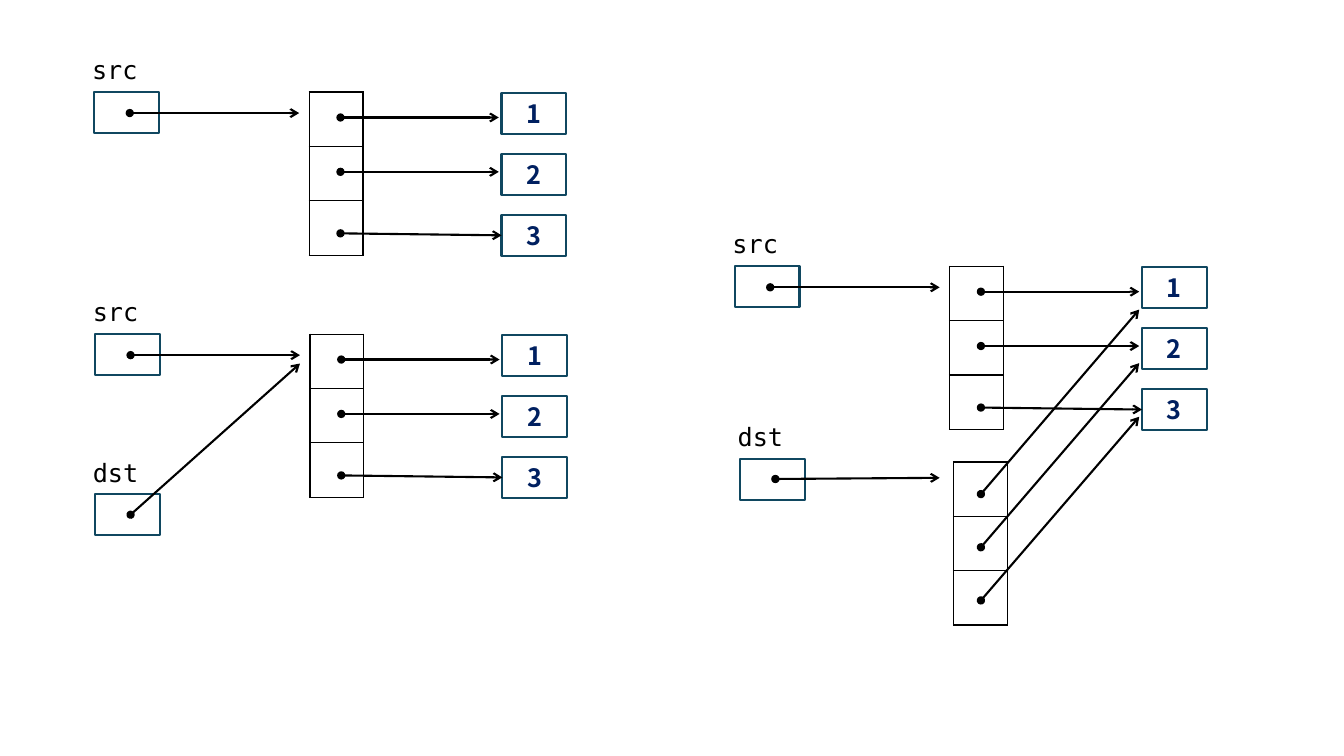
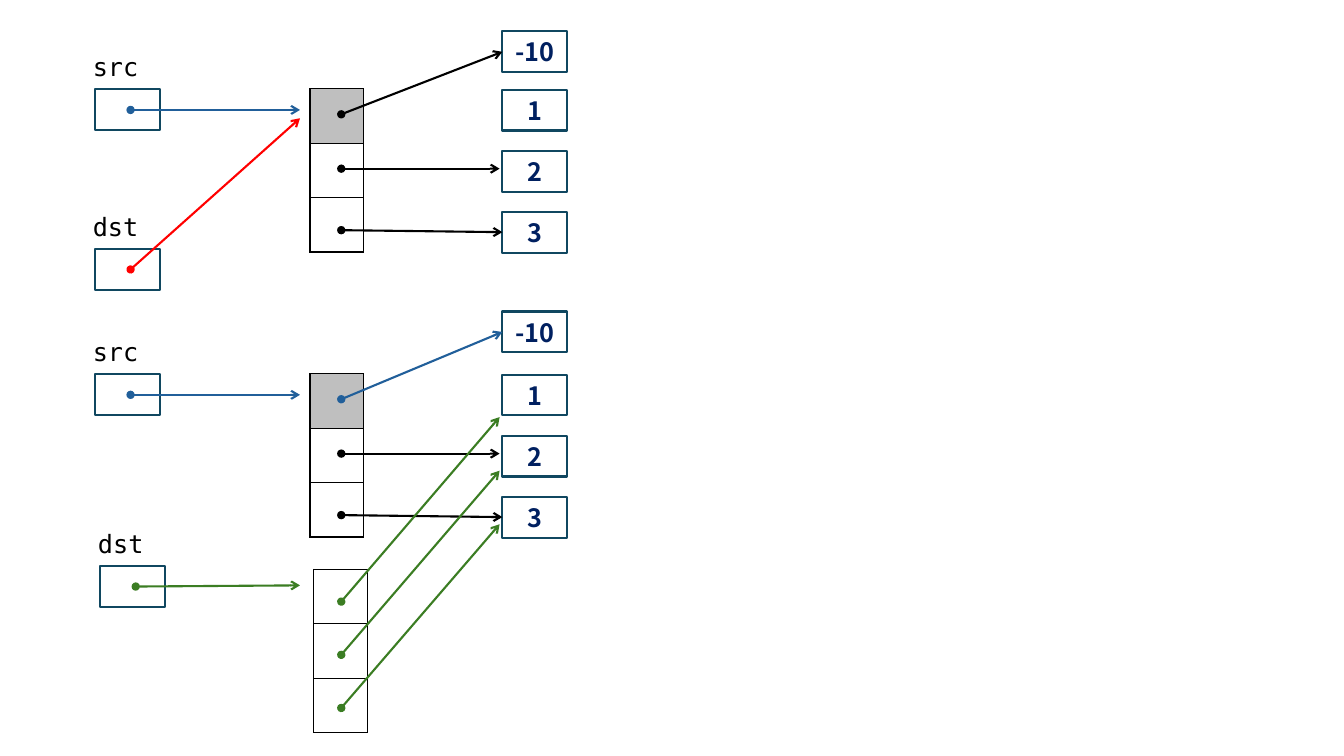
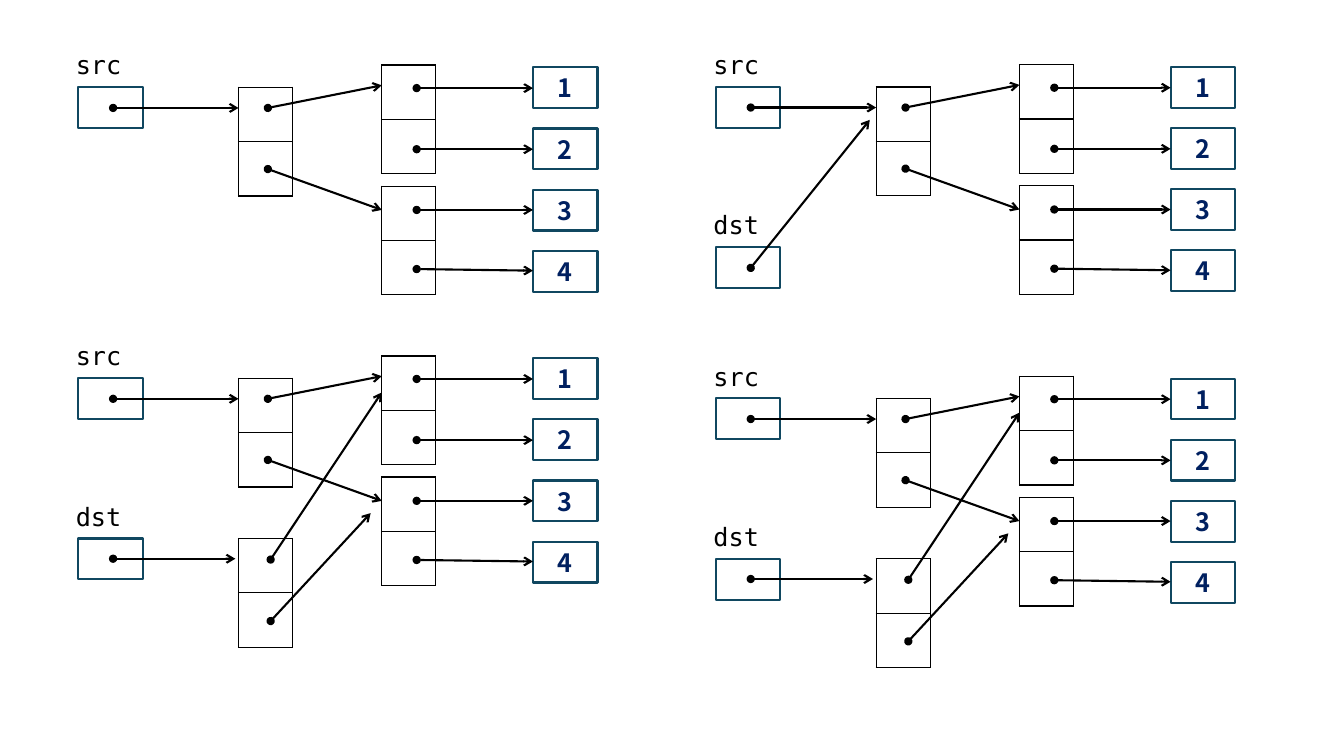
from lxml import etree
from pptx import Presentation
from pptx.dml.color import RGBColor
from pptx.enum.shapes import MSO_CONNECTOR, MSO_SHAPE
from pptx.enum.text import MSO_ANCHOR, MSO_AUTO_SIZE, PP_ALIGN
from pptx.oxml import parse_xml
from pptx.oxml.ns import nsdecls, qn
from pptx.util import Cm, Pt

COLORS = {
    "ink": "000000",
    "frame": "104760",
    "number": "002060",
    "changed": "BFBFBF",
    "blue": "215F9A",
    "red": "FF0000",
    "green": "3B7D23",
}
MONO, SANS = "DejaVu Sans Mono", "Noto Sans CJK KR"
BOX_W, BOX_H, BOX_STEP = 1.63, 1.03, 1.54
CELL_W, CELL_H = 1.36, 1.37


def rgb(name):
    return RGBColor.from_string(COLORS[name])


class MemoryDiagram:
    """Draws boxes, cells and pointers relative to a movable origin on the current slide."""

    def __init__(self):
        self.deck = Presentation()
        self.deck.slide_width, self.deck.slide_height = Cm(33.87), Cm(19.05)

    def new_slide(self):
        self.shapes = self.deck.slides.add_slide(self.deck.slide_layouts[6]).shapes

    def move_to(self, x, y):
        self.x, self.y = x, y

    def place(self, x, y):
        return Cm(self.x + x), Cm(self.y + y)

    def add_text(self, shape, text, font, color, bold=False):
        shape.text_frame.word_wrap = False
        run = shape.text_frame.paragraphs[0].add_run()
        run.text = text
        run.font.name, run.font.size, run.font.bold = font, Pt(18), bold
        run.font.color.rgb = rgb(color)

    def box(self, x, y, value=None):
        box = self.shapes.add_shape(MSO_SHAPE.RECTANGLE, *self.place(x, y), Cm(BOX_W), Cm(BOX_H))
        box.shadow.inherit = False
        box.fill.background()
        box.line.color.rgb, box.line.width = rgb("frame"), Pt(1.5)
        if value is not None:
            self.add_text(box, str(value), SANS, "number", bold=True)
            box.text_frame.vertical_anchor = MSO_ANCHOR.MIDDLE
            box.text_frame.paragraphs[0].alignment = PP_ALIGN.CENTER

    def values(self, x, y, count):
        for i in range(count):
            self.box(x, y + i * BOX_STEP, i + 1)

    def variable(self, name, x=0, y=0):
        label = self.shapes.add_textbox(*self.place(x - 0.31, y - 1.07), Cm(1.65), Cm(1.02))
        self.add_text(label, name, MONO, "ink")
        label.text_frame.auto_size = MSO_AUTO_SIZE.SHAPE_TO_FIT_TEXT
        self.box(x, y)

    def cells(self, x, y, count, changed=False):
        frame = self.shapes.add_table(count, 1, *self.place(x, y), Cm(CELL_W), Cm(CELL_H * count))
        table = frame.table
        table.first_row = table.horz_banding = False
        for i, row in enumerate(table.rows):
            row.height = Cm(CELL_H)
            cell = row.cells[0]
            properties = cell._tc.get_or_add_tcPr()
            for side in "LRTB":
                properties.append(parse_xml(
                    f'<a:ln{side} {nsdecls("a")} w="{Pt(1)}"><a:solidFill>'
                    f'<a:srgbClr val="{COLORS["ink"]}"/></a:solidFill></a:ln{side}>'))
            if changed and i == 0:
                cell.fill.solid()
                cell.fill.fore_color.rgb = rgb("changed")
            else:
                cell.fill.background()

    def pointer(self, start, end, color="ink"):
        line = self.shapes.add_connector(
            MSO_CONNECTOR.STRAIGHT, *self.place(*start), *self.place(*end))
        line.line.color.rgb, line.line.width = rgb(color), Pt(1.5)
        outline = line.line._get_or_add_ln()
        etree.SubElement(outline, qn("a:headEnd"), type="oval")
        etree.SubElement(outline, qn("a:tailEnd"), type="arrow")
        etree.SubElement(line._element.spPr, qn("a:effectLst"))

    def flat_list(self, x, y, color="ink", new_y=None, new_color="ink"):
        self.move_to(x, y)
        changed = new_y is not None
        self.variable("src")
        self.cells(5.41, 0, 3, changed)
        self.values(10.26, 0.02, 3)
        self.pointer((0.89, 0.53), (5.16, 0.53), color)
        if changed:
            self.box(10.26, new_y, -10)
            self.pointer((6.2, 0.64), (10.26, new_y + BOX_H / 2), new_color)
        else:
            self.pointer((6.2, 0.64), (10.19, 0.64))
        self.pointer((6.2, 2.01), (10.19, 2.01))
        self.pointer((6.2, 3.56), (10.26, 3.61))

    def flat_alias(self, color="ink"):
        self.variable("dst", 0, 4.04)
        self.pointer((0.89, 4.55), (5.16, 0.74), color)

    def flat_copy(self, color="ink"):
        self.variable("dst", 0.13, 4.85)
        self.pointer((1.02, 5.36), (5.16, 5.33), color)
        self.cells(5.51, 4.93, 3)
        for i in range(3):
            self.pointer((6.2, 5.74 + 1.34 * i), (10.19, 1.09 + 1.35 * i), color)

    def nested_list(self, x, y):
        self.move_to(x, y)
        self.variable("src")
        self.cells(4.04, 0, 2)
        self.values(11.46, -0.5, 4)
        self.pointer((0.88, 0.52), (4.04, 0.52))
        for start_y, end_y in ((0.02, 0.02), (1.56, 1.56), (3.09, 3.09), (4.58, 4.62)):
            self.pointer((8.53, start_y), (11.46, end_y))
        for inner_y in (-0.56, 2.49):
            self.cells(7.65, inner_y, 2)
        self.pointer((4.78, 0.52), (7.65, -0.05))
        self.pointer((4.78, 2.06), (7.65, 3.09))

    def nested_alias(self):
        self.variable("dst", 0, 4.04)
        self.pointer((0.88, 4.56), (3.88, 0.83))

    def nested_copy(self):
        self.variable("dst", 0, 4.04)
        self.pointer((0.88, 4.55), (3.96, 4.55))
        self.cells(4.04, 4.04, 2)
        self.pointer((4.85, 4.57), (7.65, 0.36))
        self.pointer((4.85, 6.12), (7.37, 3.4))


diagram = MemoryDiagram()

diagram.new_slide()
diagram.flat_list(2.4, 8.42)
diagram.flat_alias()
diagram.flat_list(18.52, 6.71)
diagram.flat_copy()
diagram.flat_list(2.38, 2.32)

diagram.new_slide()
diagram.flat_list(2.4, 2.24, "blue", new_y=-1.45)
diagram.flat_alias("red")
diagram.flat_list(2.4, 9.42, "blue", new_y=-1.57, new_color="blue")
diagram.flat_copy("green")

diagram.new_slide()
diagram.nested_list(1.97, 2.2)
diagram.nested_list(18.04, 2.19)
diagram.nested_alias()
for left, top in ((1.97, 9.53), (18.04, 10.04)):
    diagram.nested_list(left, top)
    diagram.nested_copy()

diagram.deck.save("out.pptx")
